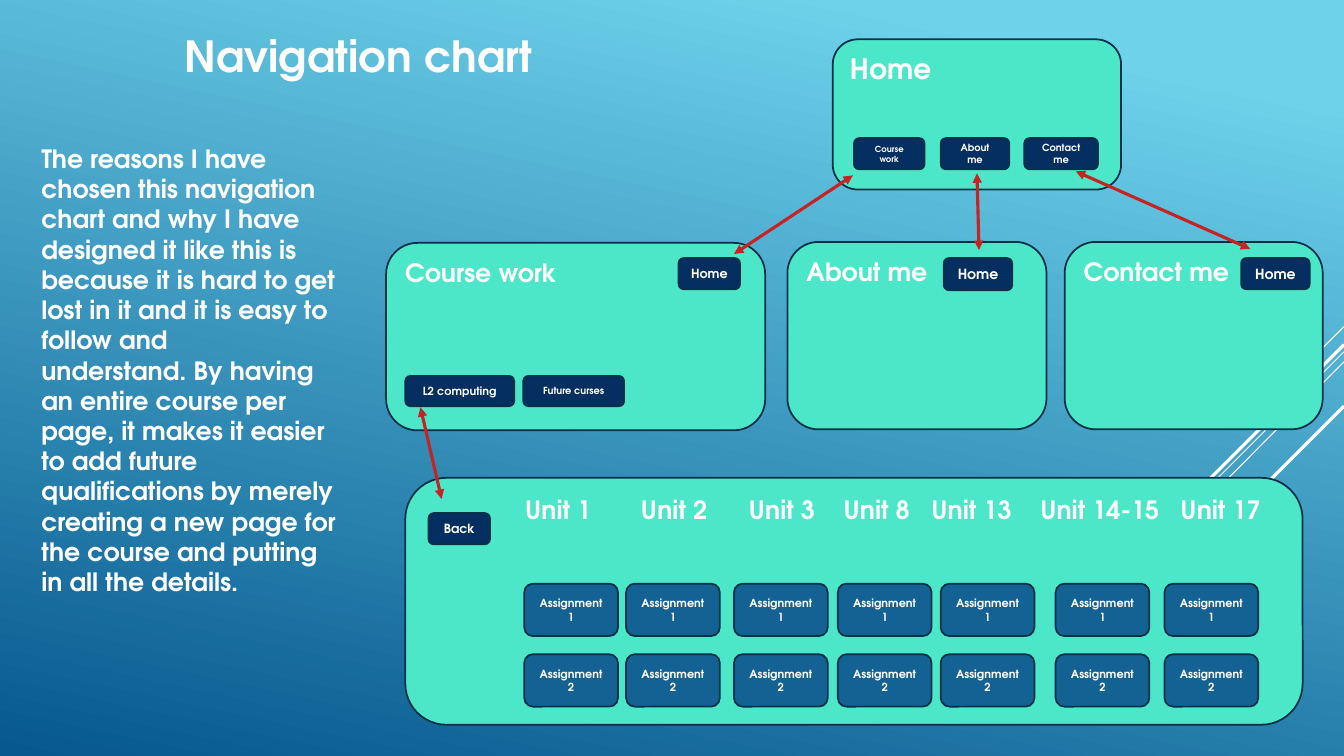
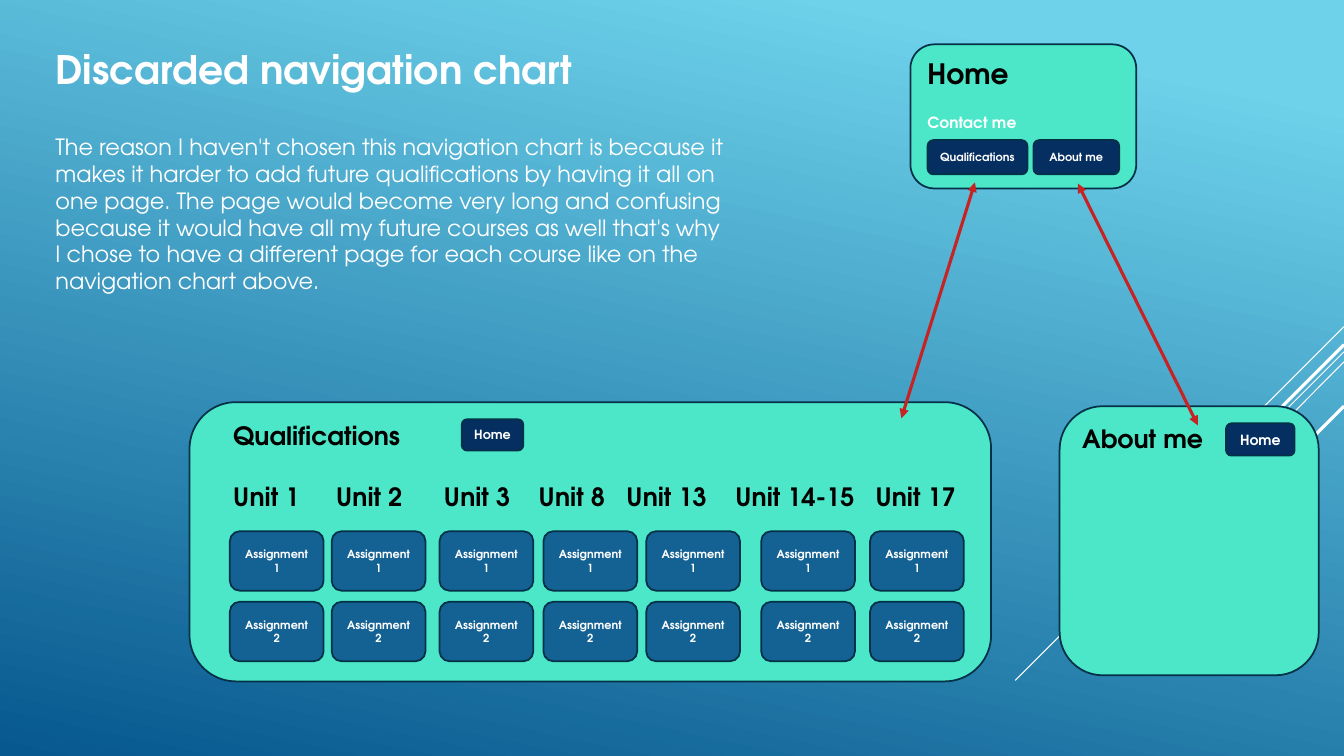
from dataclasses import dataclass
from itertools import product
from typing import NamedTuple

from lxml.etree import SubElement
from pptx import Presentation
from pptx.dml.color import RGBColor
from pptx.enum.shapes import MSO_CONNECTOR as Link, MSO_SHAPE as Form
from pptx.enum.text import MSO_ANCHOR as Anchor, MSO_AUTO_SIZE as Fit, PP_ALIGN as Align
from pptx.oxml.ns import qn
from pptx.util import Inches, Pt


@dataclass(frozen=True)
class Theme:
    font: str = "TeX Gyre Adventor"
    sky: str = "6ED2EB"
    deep: str = "06588E"
    white: str = "FFFFFF"
    black: str = "000000"
    mint: str = "4BE7C8"
    navy: str = "052F61"
    blue: str = "146194"
    edge: str = "043148"
    red: str = "C62324"
    big: float = 30.6
    mid: float = 28
    home: float = 20
    head: float = 18
    text: float = 16
    sub: float = 11
    key: float = 8
    rim: float = 1.25
    thin: float = 0.75
    thick: float = 2.25


T = Theme()


class Box(NamedTuple):
    x: float
    y: float
    w: float
    h: float


class Line(NamedTuple):
    text: str
    size: float = T.head
    color: str = T.white
    bold: bool = True
    gap: float = 0
    tabs: tuple = ()


class Panel(NamedTuple):
    box: Box
    lines: list


class Key(NamedTuple):
    text: str
    box: Box
    size: float = T.key
    fill: str = T.navy


class Path(NamedTuple):
    x1: float
    y1: float
    x2: float
    y2: float


class Grid(NamedTuple):
    x: float
    rows: tuple
    high: float


class Page(NamedTuple):
    title: Line
    title_box: Box
    body: Line
    body_box: Box
    panels: list
    keys: list
    grid: Grid
    paths: list


COLS = (0, 1.01, 2.08, 3.11, 4.13, 5.27, 6.35)
UNITS = "\t" + "\t".join(f"Unit {n}" for n in ("1", "2", "3", "8", "13", "14-15", "17"))

RAYS = [
    (Path(13.33, 3.24, 12.33, 4.24), T.thin),
    (Path(13.33, 3.49, 10.07, 6.75), T.thin),
    (Path(13.33, 3.59, 11.26, 5.67), T.thin),
    (Path(13.33, 3.42, 11.42, 5.33), T.thick),
    (Path(13.33, 4.03, 11.94, 5.42), T.thick),
]

PAGES = [
    Page(
        Line("Navigation chart", T.big),
        Box(1.73, 0.24, 4.77, 0.62),
        Line(
            "The reasons I have chosen this navigation chart and why I have designed it "
            "like this is because it is hard to get lost in it and it is easy to follow and "
            "understand.\u00a0By having an entire course per page, it makes it easier to add "
            "future qualifications by merely creating a new page for the course and putting "
            "in all the details."
        ),
        Box(0.31, 1.37, 3.15, 4.64),
        [
            Panel(Box(8.26, 0.39, 2.86, 1.49), [Line("Home", T.home)]),
            Panel(Box(3.83, 2.41, 3.76, 1.86), [Line("Course work")]),
            Panel(Box(7.81, 2.4, 2.57, 1.86), [Line("About me")]),
            Panel(Box(10.56, 2.4, 2.56, 1.86), [Line("Contact me")]),
            Panel(
                Box(4.02, 4.74, 8.9, 2.45),
                [Line(UNITS, tabs=(0.97, 2.12, 3.19, 4.13, 5, 6.08, 7.47))],
            ),
        ],
        [
            Key("Course work", Box(8.47, 1.37, 0.7, 0.31), 6),
            Key("About me", Box(9.33, 1.37, 0.68, 0.31), 7),
            Key("Contact me", Box(10.16, 1.37, 0.73, 0.31), 7),
            Key("Home", Box(6.73, 2.56, 0.61, 0.31), 9),
            Key("Home", Box(9.36, 2.56, 0.68, 0.32), 10),
            Key("Home", Box(12.31, 2.56, 0.68, 0.31), 10),
            Key("Future curses", Box(5.19, 3.73, 1, 0.3), 7),
            Key("L2 computing", Box(4.02, 3.73, 1.08, 0.3)),
            Key("Back", Box(4.25, 5.09, 0.61, 0.31), 9),
        ],
        Grid(5.2, (5.79, 6.49), 0.52),
        [
            Path(7.28, 2.52, 8.46, 1.74),
            Path(9.71, 2.48, 9.69, 1.72),
            Path(12.4, 2.47, 10.67, 1.7),
            Path(4.17, 4.04, 4.38, 4.95),
        ],
    ),
    Page(
        Line("Discarded navigation chart", T.mid),
        Box(0.45, 0.4, 6.89, 0.6),
        Line(
            "The reason I haven't chosen this navigation chart is because it makes it harder "
            "to add future qualifications by having it all on one page. The page would become "
            "very long and confusing because it would have all my future courses as well "
            "that's why I chose to have a different page for each course like on the "
            "navigation chart above.",
            T.text,
            bold=False,
        ),
        Box(0.45, 1.27, 6.89, 1.72),
        [
            Panel(
                Box(9.03, 0.44, 2.24, 1.43),
                [Line("Home", T.home, T.black), Line("Contact me", T.sub, gap=16.8)],
            ),
            Panel(Box(10.51, 4.03, 2.57, 2.67), [Line("About me", color=T.black)]),
            Panel(
                Box(1.88, 3.99, 7.95, 2.77),
                [
                    Line("\tQualifications", color=T.black, tabs=(0.2,)),
                    Line(
                        UNITS,
                        color=T.black,
                        gap=21.6,
                        tabs=(0.2, 1.22, 2.29, 3.23, 4.1, 5.18, 6.57),
                    ),
                ],
            ),
        ],
        [
            Key("Qualifications", Box(9.2, 1.39, 0.99, 0.34)),
            Key("About me", Box(10.25, 1.39, 0.85, 0.34)),
            Key("Home", Box(12.16, 4.2, 0.68, 0.32), 10),
            Key("Home", Box(4.58, 4.16, 0.61, 0.31), 9),
        ],
        Grid(2.28, (5.27, 5.97), 0.59),
        [Path(9.67, 1.81, 8.94, 4.15), Path(10.69, 1.82, 11.88, 4.22)],
    ),
]


def rgb(code: str) -> RGBColor:
    return RGBColor.from_string(code)


def write(shape, lines: list, align=Align.LEFT, anchor=Anchor.TOP) -> None:
    frame = shape.text_frame
    frame.text = "\n".join(line.text for line in lines)
    frame.word_wrap = True
    frame.auto_size = Fit.NONE
    frame.vertical_anchor = anchor
    for para, line in zip(frame.paragraphs, lines):
        para.alignment = align
        para.space_before = Pt(line.gap)
        for run in para.runs:
            font = run.font
            font.name, font.size, font.bold = T.font, Pt(line.size), line.bold
            font.color.rgb = rgb(line.color)
        if line.tabs:
            stops = SubElement(para._p.get_or_add_pPr(), qn("a:tabLst"))
            for tab in line.tabs:
                SubElement(stops, qn("a:tab"), pos=str(Inches(tab)), algn="l")


def place(shape, box: Box, line: Line) -> None:
    shape.left, shape.top, shape.width, shape.height = map(Inches, box)
    write(shape, [line])


def plain(shape) -> None:
    for para in shape.text_frame.paragraphs:
        props = para._p.get_or_add_pPr()
        props.set("marL", "0")
        props.set("indent", "0")
        SubElement(props, qn("a:buNone"))


def block(slide, box: Box, fill: str):
    shape = slide.shapes.add_shape(Form.ROUNDED_RECTANGLE, *map(Inches, box))
    shape.shadow.inherit = False
    shape.fill.solid()
    shape.fill.fore_color.rgb = rgb(fill)
    shape.line.color.rgb = rgb(T.edge)
    shape.line.width = Pt(T.rim)
    return shape


def button(slide, key: Key) -> None:
    write(block(slide, key.box, key.fill), [Line(key.text, key.size)], Align.CENTER, Anchor.MIDDLE)


def stroke(slide, way: Path, color: str, width: float):
    link = slide.shapes.add_connector(Link.STRAIGHT, *map(Inches, way))
    link.line.color.rgb = rgb(color)
    link.line.width = Pt(width)
    SubElement(link.element.spPr, qn("a:effectLst"))
    return link


def arrow(slide, way: Path) -> None:
    edge = stroke(slide, way, T.red, T.thick).element.spPr.find(qn("a:ln"))
    for end in ("a:headEnd", "a:tailEnd"):
        SubElement(edge, qn(end), type="triangle")


def backdrop(deck, layout, slide) -> None:
    fill = deck.slide_master.background.fill
    fill.gradient()
    fill.gradient_angle = 258
    for stop, color, spot in zip(fill.gradient_stops, (T.sky, T.deep), (0.1, 1)):
        stop.color.rgb = rgb(color)
        stop.position = spot
    for mark, (way, width) in enumerate(RAYS, 100):
        ray = stroke(slide, way, T.white, width).element
        ray.nvCxnSpPr.cNvPr.set("id", str(mark))
        layout.shapes.element.append(ray)


def draw(slide, page: Page) -> None:
    place(slide.shapes.title, page.title_box, page.title)
    body = slide.placeholders[1]
    place(body, page.body_box, page.body)
    plain(body)
    for panel in page.panels:
        write(block(slide, panel.box, T.mint), panel.lines)
    for (row, y), col in product(enumerate(page.grid.rows, 1), COLS):
        box = Box(page.grid.x + col, y, 0.93, page.grid.high)
        button(slide, Key(f"Assignment {row}", box, fill=T.blue))
    for key in page.keys:
        button(slide, key)
    for way in page.paths:
        arrow(slide, way)


def main() -> None:
    deck = Presentation()
    deck.slide_width, deck.slide_height = Inches(13.33), Inches(7.5)
    layout = deck.slide_layouts[1]
    slides = [deck.slides.add_slide(layout) for _ in PAGES]
    backdrop(deck, layout, slides[0])
    for slide, page in zip(slides, PAGES):
        draw(slide, page)
    deck.save("out.pptx")


main()
